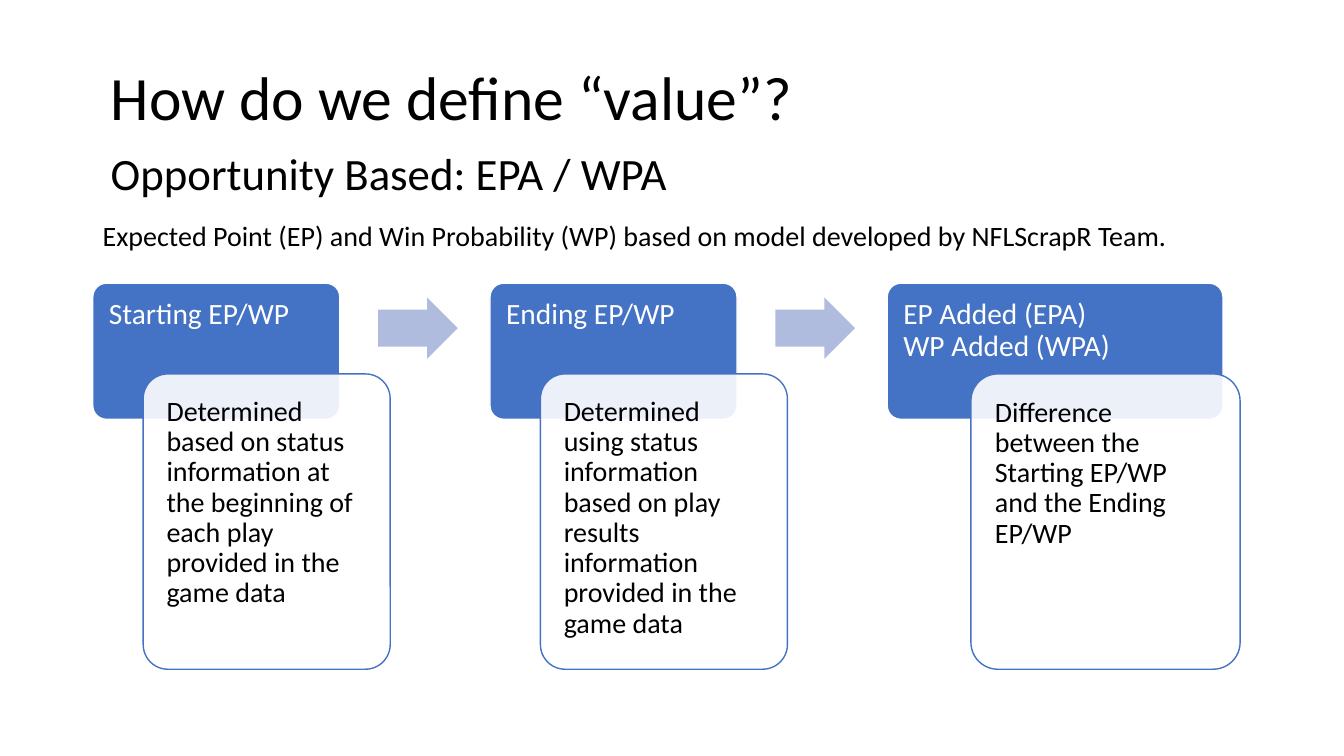
from pptx import Presentation
from pptx.dml.color import RGBColor
from pptx.enum.shapes import MSO_SHAPE as Shape
from pptx.enum.text import MSO_ANCHOR as Anchor, PP_ALIGN as Align
from pptx.oxml.ns import qn
from pptx.util import Inches, Pt
from lxml.etree import SubElement

BLUE, PALE_BLUE, WHITE, BLACK = "4472C4", "B0BCDE", "FFFFFF", "000000"
STEP_LEFT, STEP_PITCH, STEP_TOP = 0.92, 3.94, 2.81
STEPS = [
    ("Starting EP/WP", 2.45, 0.5, 2.45,
     "Determined based on status information at the beginning of each play "
     "provided in the game data"),
    ("Ending EP/WP", 2.45, 0.5, 2.45,
     "Determined using status information based on play results information "
     "provided in the game data"),
    ("EP Added (EPA)\vWP Added (WPA)", 3.33, 0.83, 2.67,
     "Difference between the Starting EP/WP and the Ending EP/WP"),
]


def rgb(color):
    return RGBColor.from_string(color)


def write(frame, text, size, color=BLACK, spacing=0.9):
    frame.text = text
    paragraph = frame.paragraphs[0]
    paragraph.alignment = Align.LEFT
    paragraph.line_spacing = spacing
    paragraph.font.name = "Calibri"
    paragraph.font.size = Pt(size)
    paragraph.font.color.rgb = rgb(color)


def add_text(slide, box, text, size, anchor=Anchor.TOP, spacing=0.9, bullet=False):
    frame = slide.shapes.add_textbox(*map(Inches, box)).text_frame
    frame.word_wrap = True
    frame.vertical_anchor = anchor
    if bullet:
        props = frame.paragraphs[0]._p.get_or_add_pPr()
        props.set("marL", str(Inches(0.25)))
        props.set("indent", str(Inches(-0.25)))
        SubElement(props, qn("a:buFont")).set("typeface", "Arial")
        SubElement(props, qn("a:buChar")).set("char", "•")
    write(frame, text, size, spacing=spacing)


def add_block(slide, kind, box, adjustment, fill, line=None):
    block = slide.shapes.add_shape(kind, *map(Inches, box))
    block.shadow.inherit = False
    block.adjustments[0] = adjustment
    block.fill.solid()
    block.fill.fore_color.rgb = rgb(fill)
    if line:
        block.line.color.rgb = rgb(line)
        block.line.width = Pt(1)
    else:
        block.line.fill.background()
    return block


def add_panel(slide, box, fill, line, text, size, color, inset):
    panel = add_block(slide, Shape.ROUNDED_RECTANGLE, box, 0.1, fill, line)
    frame = panel.text_frame
    frame.word_wrap = True
    frame.vertical_anchor = Anchor.TOP
    frame.margin_left = frame.margin_right = frame.margin_top = Inches(inset)
    write(frame, text, size, color)
    return panel


def set_opacity(block, percent):
    color = block.fill._xPr.find(qn("a:solidFill"))[0]
    SubElement(color, qn("a:alpha")).set("val", str(percent * 1000))


def add_step(slide, left, heading, heading_width, card_offset, card_width, detail):
    add_panel(slide, (left, STEP_TOP, heading_width, 1.35), BLUE, WHITE,
              heading, 21, WHITE, 0.12)
    card = add_panel(slide, (left + card_offset, STEP_TOP + 0.9, card_width, 2.93),
                     WHITE, BLUE, detail, 20, BLACK, 0.16)
    set_opacity(card, 90)


def main():
    deck = Presentation()
    deck.slide_width, deck.slide_height = Inches(13.33), Inches(7.5)
    slide = deck.slides.add_slide(deck.slide_layouts[6])

    add_text(slide, (1, 0.5, 11.5, 1), "How do we define “value”?", 44, Anchor.MIDDLE)
    add_text(slide, (1, 1.4, 5.8, 0.64), "Opportunity Based: EPA / WPA", 32, spacing=1.0)
    add_text(slide, (0.92, 2.16, 11.5, 0.5),
             "Expected Point (EP) and Win Probability (WP) based on model "
             "developed by NFLScrapR Team.", 20, bullet=True)

    for index, step in enumerate(STEPS):
        left = STEP_LEFT + index * STEP_PITCH
        add_step(slide, left, *step)
        if index < len(STEPS) - 1:
            add_block(slide, Shape.RIGHT_ARROW, (left + 2.83, 2.95, 0.79, 0.61),
                      0.6, PALE_BLUE)

    deck.save("out.pptx")


if __name__ == "__main__":
    main()
